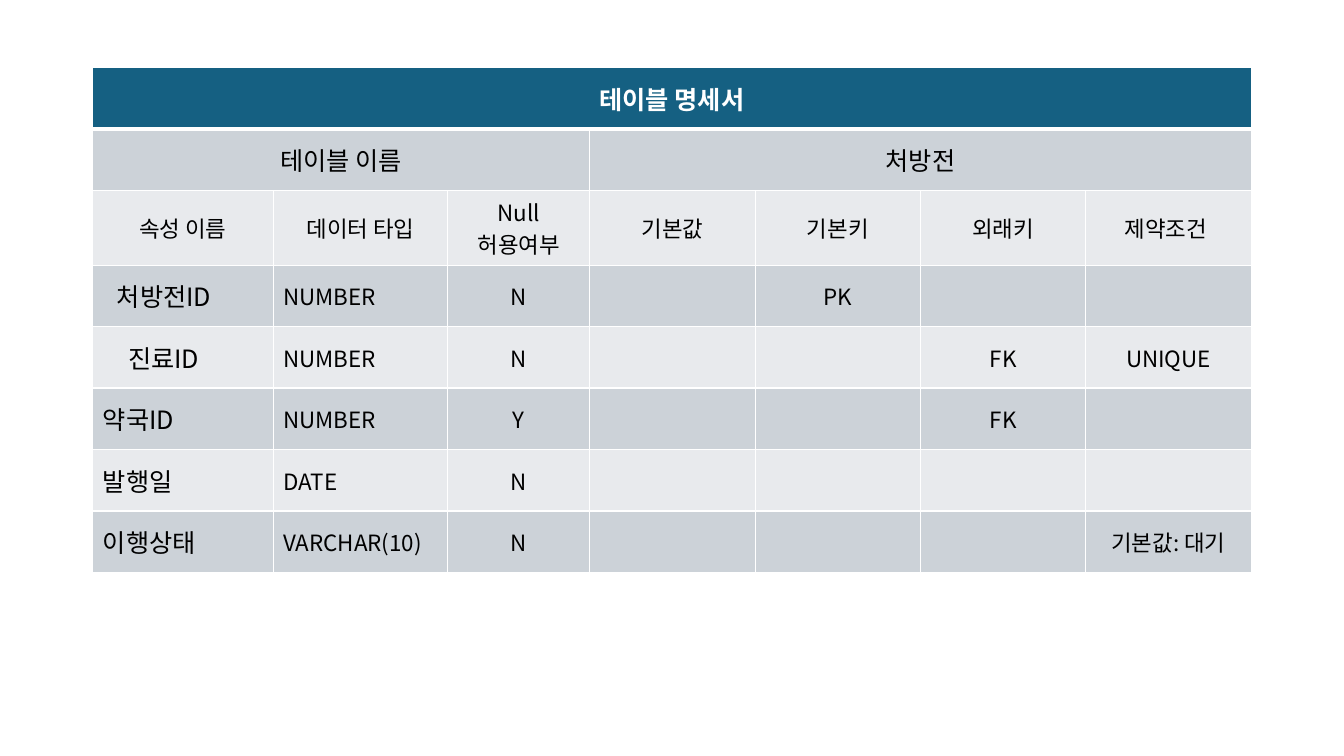
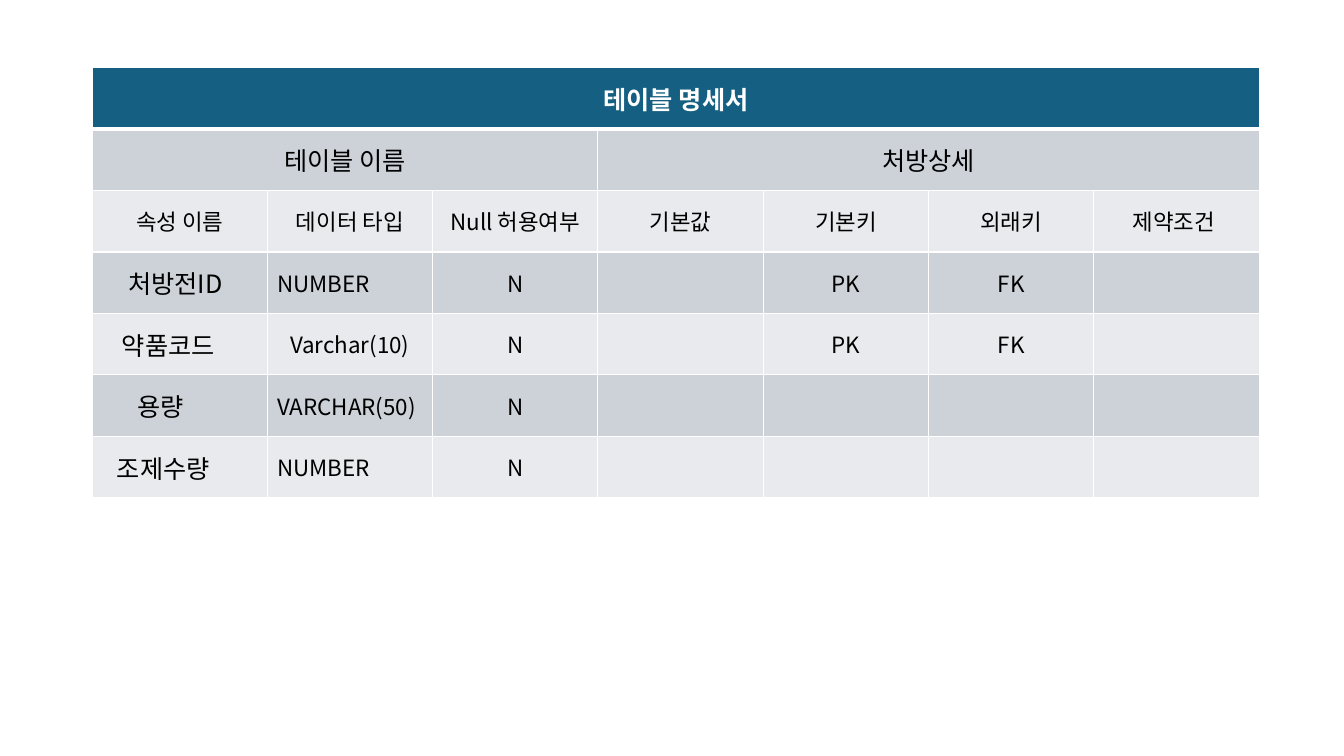
import dataclasses

import lxml.etree
import pptx
import pptx.dml.color
import pptx.enum.text
import pptx.oxml.ns
import pptx.util

PX = 9144  # EMU in one px, at 100 px to the inch
FONT = "Noto Sans CJK KR"
COLORS = {
    "header": "156082",
    "dark_band": "CCD2D8",
    "light_band": "E8EAED",
    "white": "FFFFFF",
    "black": "000000",
}
LEFT_ALIGN = pptx.enum.text.PP_ALIGN.LEFT
CENTER = pptx.enum.text.PP_ALIGN.CENTER

TABLE_LEFT, TABLE_TOP, ROW_HEIGHT = 92, 67, 61
CELL_MARGIN = 10
NAME_COLUMNS = 3
HEADINGS = ("속성 이름", "데이터 타입", "Null 허용여부", "기본값", "기본키", "외래키", "제약조건 ")
FORMATS = {
    "title": {"size": pptx.util.Pt(18), "bold": True, "name": FONT},
    "large": {"size": pptx.util.Pt(18), "bold": False, "name": FONT},
    "small": {"size": pptx.util.Pt(16), "bold": False, "name": FONT},
}


@dataclasses.dataclass
class Field:
    """One row of a specification; indent is in px."""
    name: str
    data_type: str
    nullable: str = "N"
    primary_key: str = ""
    foreign_key: str = ""
    constraint: str = ""
    indent: int = 0
    type_alignment: pptx.enum.text.PP_ALIGN = LEFT_ALIGN

    def values(self):
        return (self.name, self.data_type, self.nullable, "",
                self.primary_key, self.foreign_key, self.constraint)


PRESCRIPTION = [
    Field("처방전ID", "NUMBER", primary_key="PK", indent=14),
    Field("진료ID", "NUMBER", foreign_key="FK", constraint="UNIQUE", indent=25),
    Field("약국ID", "NUMBER", nullable="Y", foreign_key="FK"),
    Field("발행일", "DATE"),
    Field("이행상태", "VARCHAR(10)", constraint="기본값: 대기"),
]
PRESCRIPTION_DETAIL = [
    Field("처방전ID", "NUMBER", primary_key="PK", foreign_key="FK", indent=25),
    Field("약품코드", "Varchar(10)", primary_key="PK", foreign_key="FK",
          indent=19, type_alignment=CENTER),
    Field("용량", "VARCHAR(50)", indent=34),
    Field("조제수량", "NUMBER", indent=14),
]


def rgb(color):
    return pptx.dml.color.RGBColor.from_string(COLORS[color])


def add_element(parent, tag, **attributes):
    return lxml.etree.SubElement(parent, pptx.oxml.ns.qn(tag), attributes)


def set_borders(cell, row):
    """Draw white borders, with a thicker one below the title row."""
    properties = cell._tc.get_or_add_tcPr()
    widths = {"L": 1, "R": 1, "T": 3 if row == 1 else 1, "B": 3 if row == 0 else 1}
    for side, points in widths.items():
        line = add_element(properties, f"a:ln{side}", w=str(pptx.util.Pt(points)))
        fill = add_element(line, "a:solidFill")
        add_element(fill, "a:srgbClr", val=COLORS["white"])


def style_cell(cell, row):
    set_borders(cell, row)
    band = "header" if row == 0 else "dark_band" if row % 2 else "light_band"
    cell.fill.solid()
    cell.fill.fore_color.rgb = rgb(band)
    cell.vertical_anchor = pptx.enum.text.MSO_ANCHOR.MIDDLE


def write_cell(cell, text, style, color="black", alignment=CENTER, indent=0):
    if not text:
        return
    cell.margin_left = (CELL_MARGIN + indent) * PX
    paragraph = cell.text_frame.paragraphs[0]
    paragraph.alignment = alignment
    run = paragraph.add_run()
    run.text = text
    for attribute, value in FORMATS[style].items():
        setattr(run.font, attribute, value)
    run.font.color.rgb = rgb(color)
    add_element(run._r.get_or_add_rPr(), "a:ea", typeface=FONT)


def write_field(table, row, field):
    for column, text in enumerate(field.values()):
        options = {"style": "small"}
        if column == 0:
            options = {"style": "large", "alignment": LEFT_ALIGN, "indent": field.indent}
        elif column == 1:
            options["alignment"] = field.type_alignment
        write_cell(table.cell(row, column), text, **options)


def add_specification(slide, table_name, column_widths, fields):
    row_count, column_count = len(fields) + 3, len(HEADINGS)
    table = slide.shapes.add_table(
        row_count, column_count, TABLE_LEFT * PX, TABLE_TOP * PX,
        sum(column_widths) * PX, row_count * ROW_HEIGHT * PX).table
    table.first_row = table.horz_banding = False
    for column, width in zip(table.columns, column_widths):
        column.width = width * PX
    for row in range(row_count):
        table.rows[row].height = ROW_HEIGHT * PX
        for column in range(column_count):
            style_cell(table.cell(row, column), row)

    last = column_count - 1
    for row, first, end in ((0, 0, last), (1, 0, NAME_COLUMNS - 1), (1, NAME_COLUMNS, last)):
        table.cell(row, first).merge(table.cell(row, end))
    write_cell(table.cell(0, 0), "테이블 명세서", "title", "white")
    write_cell(table.cell(1, 0), "테이블 이름", "large")
    write_cell(table.cell(1, NAME_COLUMNS), table_name, "large")
    for column, heading in enumerate(HEADINGS):
        write_cell(table.cell(2, column), heading, "small")
    for row, field in enumerate(fields, start=3):
        write_field(table, row, field)


def main():
    presentation = pptx.Presentation()
    presentation.slide_width = 1333 * PX
    presentation.slide_height = 750 * PX
    specifications = (
        ("처방전", [179, 173, 141] + [164] * 4, PRESCRIPTION),
        ("처방상세", [173] + [164] * 6, PRESCRIPTION_DETAIL),
    )
    for table_name, column_widths, fields in specifications:
        slide = presentation.slides.add_slide(presentation.slide_layouts[6])
        add_specification(slide, table_name, column_widths, fields)
    presentation.save("out.pptx")


if __name__ == "__main__":
    main()
